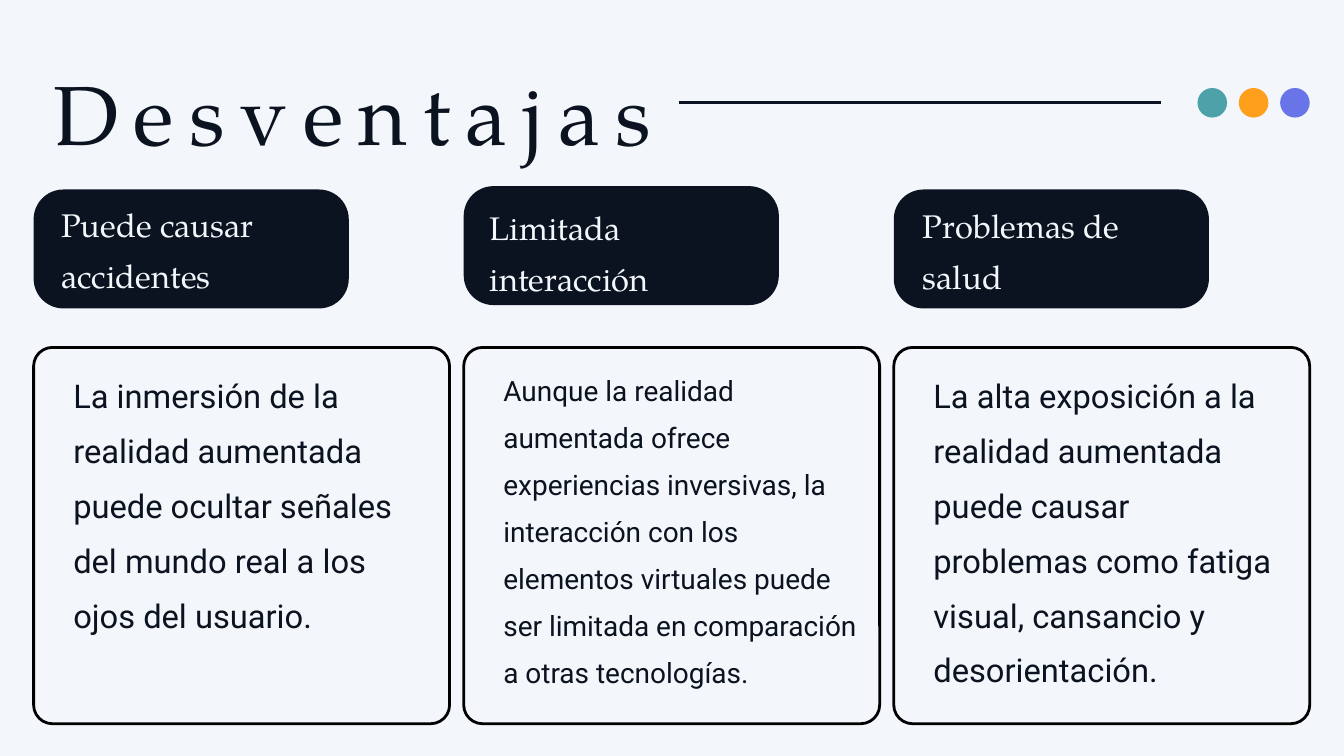
from lxml.etree import SubElement
from pptx import Presentation
from pptx.dml.color import RGBColor
from pptx.enum.shapes import MSO_CONNECTOR, MSO_SHAPE
from pptx.enum.text import MSO_ANCHOR, MSO_AUTO_SIZE, PP_ALIGN
from pptx.oxml.ns import qn
from pptx.util import Inches, Pt

INK, PALE, BLACK = "0B1320", "F3F6FA", "000000"
SERIF, SANS = "TeX Gyre Pagella", "Roboto"
TITLE = "D e s v e n t a j a s"
DOTS = ["4DA1A9", "FF9F1C", "6874E8"]
COLS = [
    {"head": "Puede causar accidentes", "pill": 2.82, "at": (0.91, 2.88, 3.81, 1.53),
     "body": "La inmersión de la realidad aumentada puede ocultar señales "
             "del mundo real a los ojos del usuario.", "size": 35},
    {"head": "Limitada interacción", "pill": 2.77, "at": (7.29, 2.92, 3.92, 1.53),
     "body": "Aunque la realidad aumentada ofrece experiencias inversivas, "
             "la interacción con los elementos virtuales puede ser limitada "
             "en comparación a otras tecnologías.", "size": 30},
    {"head": "Problemas de salud", "pill": 2.82, "at": (13.73, 2.89, 3.85, 1.53),
     "body": "La alta exposición a la realidad aumentada puede causar "
             "problemas como fatiga visual, cansancio y desorientación.", "size": 35},
]
LEFT, STEP = 0.5, 6.4
DOT_X, DOT_STEP = 17.82, 0.615
FRAME = {"word_wrap": True, "auto_size": MSO_AUTO_SIZE.NONE,
         "vertical_anchor": MSO_ANCHOR.TOP, "margin_left": 0, "margin_top": 0,
         "margin_right": 0, "margin_bottom": 0}


def paint(color, value):
    """Set a colour format from a hex string."""
    color.rgb = RGBColor.from_string(value)


def apply(item, values):
    """Set each named attribute of an item."""
    for name, value in values.items():
        setattr(item, name, value)


def write(shape, text, size, font, color, gap):
    """Fill a shape with one styled paragraph and return it."""
    frame = shape.text_frame
    apply(frame, FRAME)
    para = frame.paragraphs[0]
    apply(para, {"alignment": PP_ALIGN.LEFT, "line_spacing": gap})
    run = para.add_run()
    run.text = text
    apply(run.font, {"size": Pt(size), "name": font})
    paint(run.font.color, color)
    return para


def draw(slide, kind, box, fill=None, line=None, curve=None):
    """Add a flat shape with a fill or an outline."""
    shape = slide.shapes.add_shape(kind, *map(Inches, box))
    shape.shadow.inherit = False
    if curve is not None:
        shape.adjustments[0] = curve
    if fill:
        shape.fill.solid()
        paint(shape.fill.fore_color, fill)
    else:
        shape.fill.background()
    if line:
        shape.line.width = Pt(3)
        paint(shape.line.color, line)
    else:
        shape.line.fill.background()


def add_text(slide, box, *style):
    """Add a text box and return its paragraph."""
    return write(slide.shapes.add_textbox(*map(Inches, box)), *style)


def add_head(slide):
    """Place the title, the rule and the dots."""
    title = slide.shapes.title
    box = map(Inches, (0.79, 0.61, 10.26, 1.82))
    apply(title, dict(zip(("left", "top", "width", "height"), box)))
    para = write(title, TITLE, 90, SERIF, INK, 1.2)
    para.runs[0].font._element.set("spc", "-300")
    ends = map(Inches, (10.11, 1.53, 17.27, 1.53))
    rule = slide.shapes.add_connector(MSO_CONNECTOR.STRAIGHT, *ends)
    rule.line.width = Pt(3)
    paint(rule.line.color, INK)
    SubElement(rule._element.spPr, qn("a:effectLst"))
    for i, color in enumerate(DOTS):
        draw(slide, MSO_SHAPE.OVAL, (DOT_X + i * DOT_STEP, 1.31, 0.44, 0.44), color)


def add_col(slide, i, col):
    """Place one heading pill and its card."""
    x = LEFT + i * STEP
    kind = MSO_SHAPE.ROUNDED_RECTANGLE
    draw(slide, kind, (x, col["pill"], 4.69, 1.77), fill=INK, curve=0.25)
    draw(slide, kind, (x, 5.17, 6.19, 5.6), line=BLACK, curve=0.05)
    add_text(slide, col["at"], col["head"], 35, SERIF, PALE, 1.3)
    para = add_text(slide, (x + 0.29, 5.36, 5.62, 4.95), col["body"],
                    col["size"], SANS, INK, 1.4)
    para._p.get_or_add_pPr().set("marL", str(Inches(0.3)))


def main():
    """Build and save the slide."""
    deck = Presentation()
    apply(deck, {"slide_width": Inches(20), "slide_height": Inches(11.25)})
    slide = deck.slides.add_slide(deck.slide_layouts[5])
    slide.background.fill.solid()
    paint(slide.background.fill.fore_color, PALE)
    add_head(slide)
    for i, col in enumerate(COLS):
        add_col(slide, i, col)
    deck.save("out.pptx")


if __name__ == "__main__":
    main()
